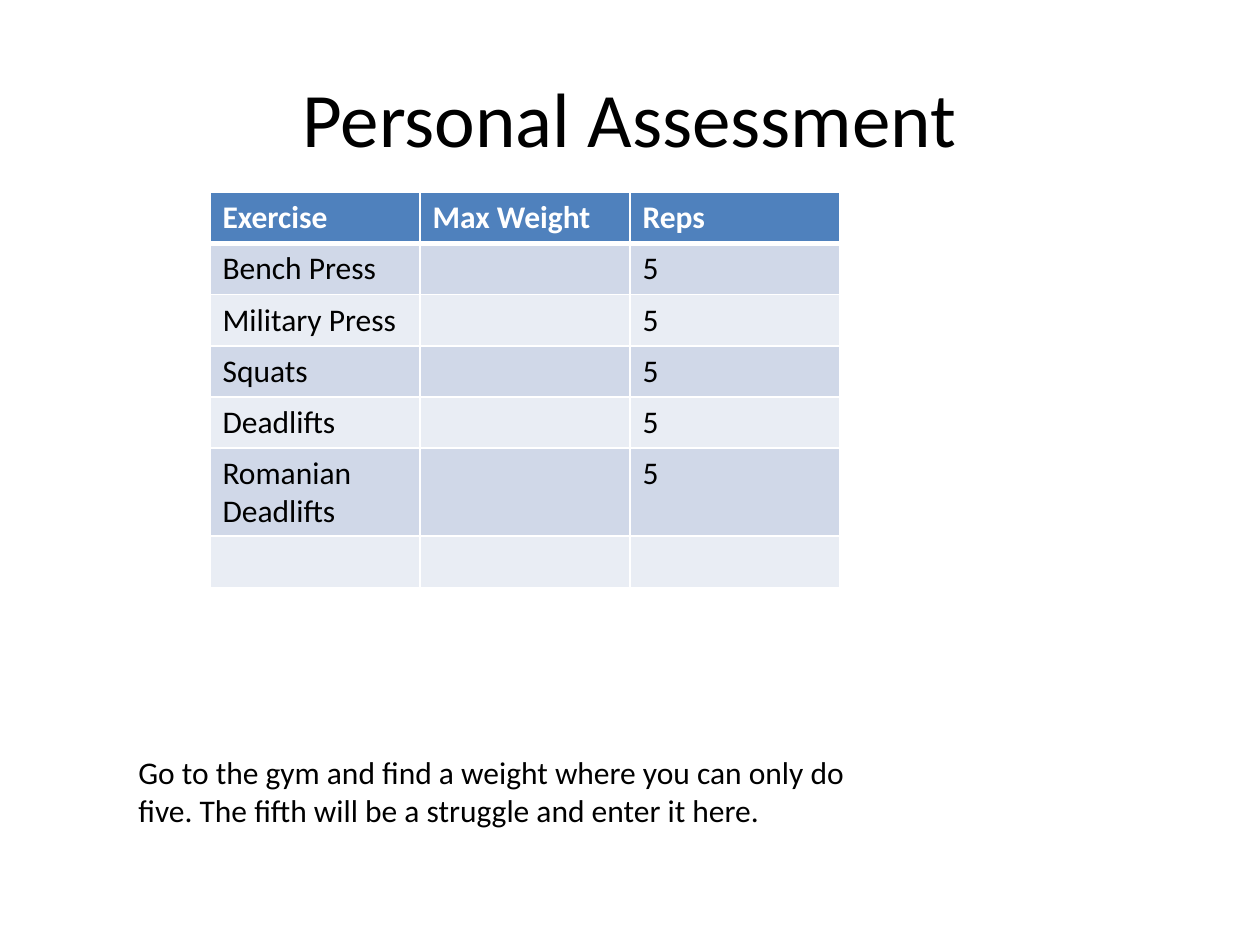
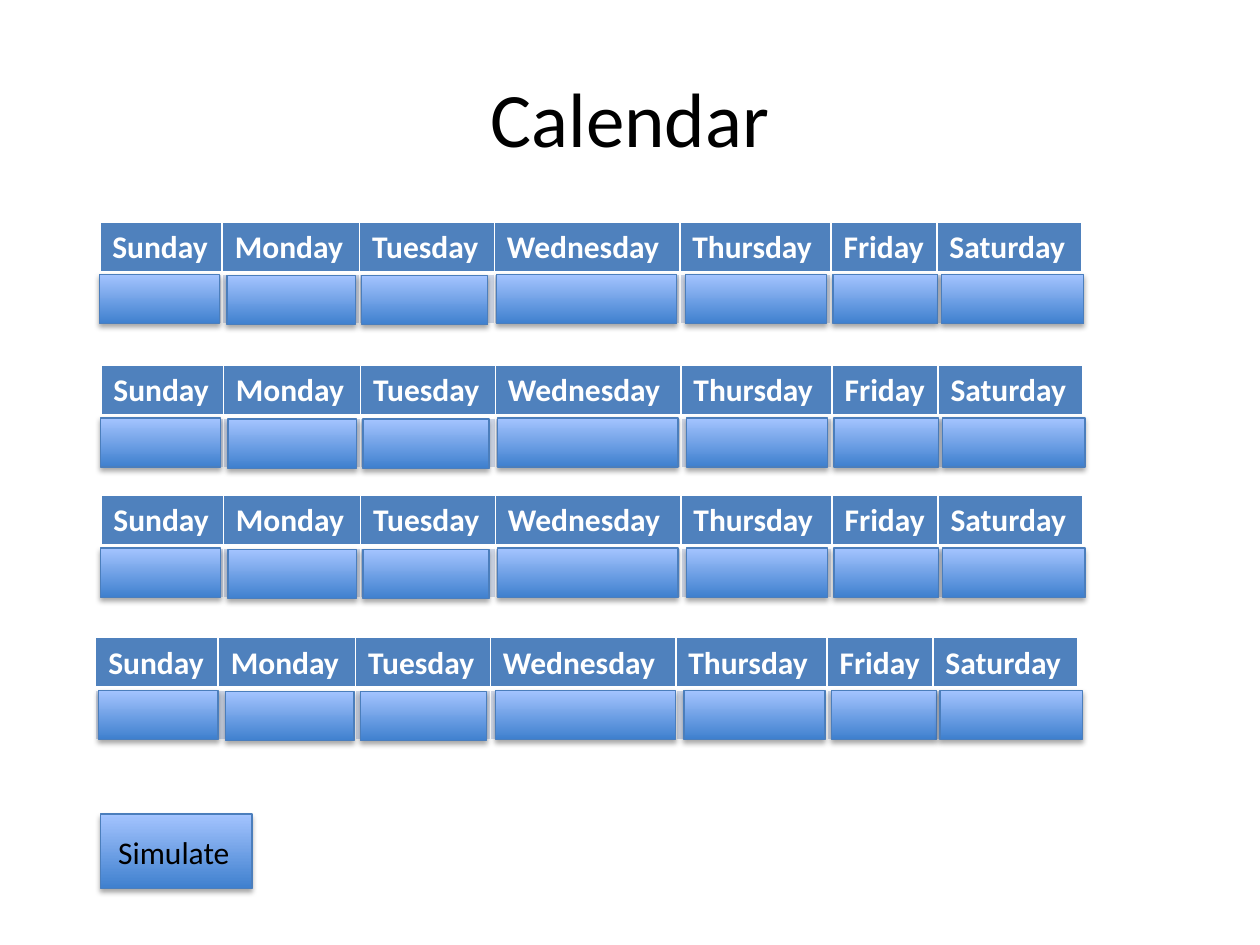
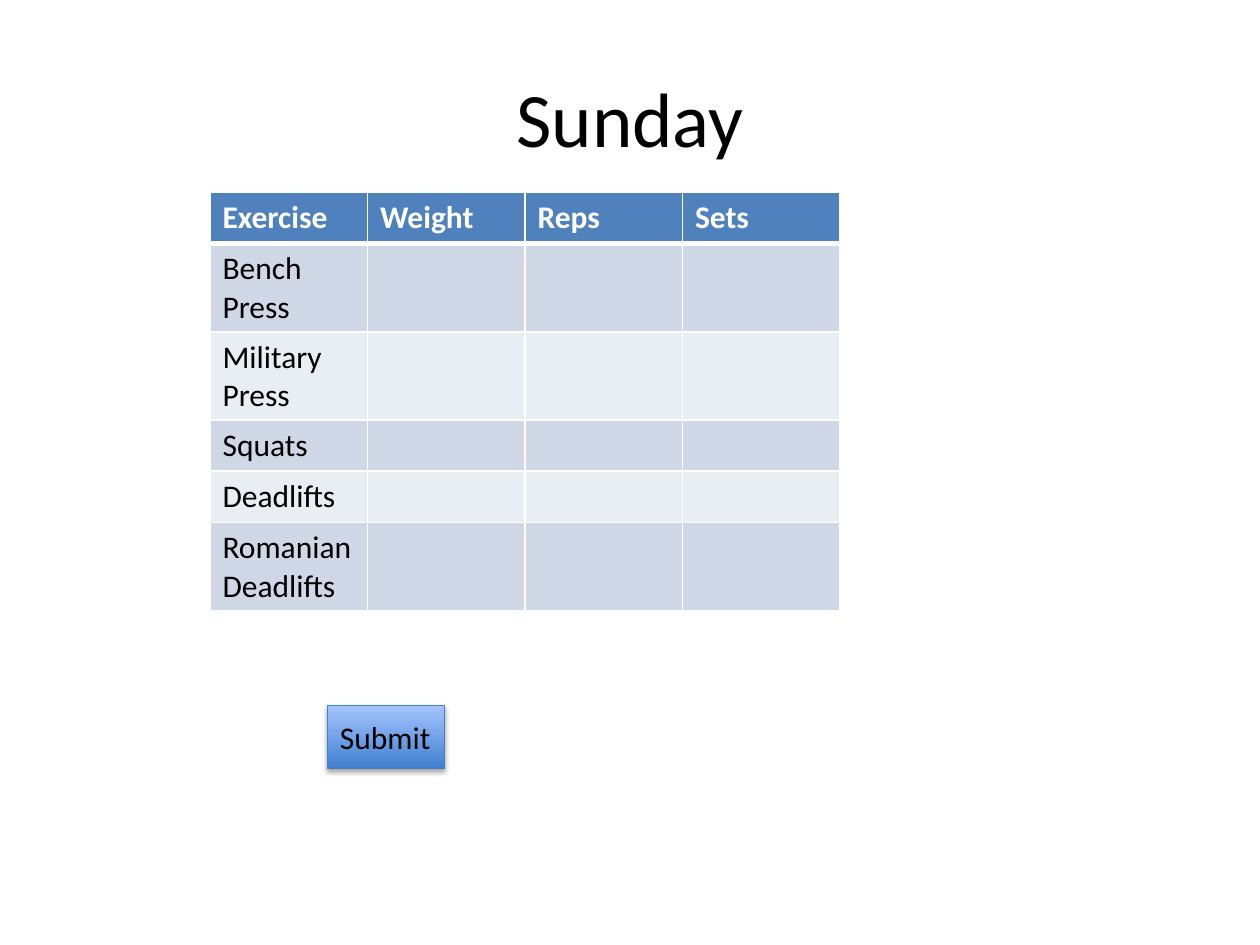
import pptx
import pptx.dml.color
import pptx.enum.shapes
import pptx.enum.text
import pptx.oxml
import pptx.oxml.ns
import pptx.util
from lxml import etree

Pt = pptx.util.Pt
ALIGN = pptx.enum.text.PP_ALIGN
ANCHOR = pptx.enum.text.MSO_ANCHOR

COLORS = {
    "text": "000000",
    "white": "FFFFFF",
    "header": "4F81BD",
    "band_dark": "D0D8E8",
    "band_light": "E9EDF4",
    "button_bottom": "3F80CE",
    "button_top": "A4C4FF",
    "button_line": "4B7EBC",
}
TITLE = {"name": "Calibri", "size": Pt(44), "bold": False}
BODY = {"name": "Calibri", "size": Pt(18), "bold": False}
HEADER = {"name": "Calibri", "size": Pt(18), "bold": True}

ROW_HEIGHT = 29.2
EXERCISES = ["Bench Press", "Military Press", "Squats", "Deadlifts", "Romanian Deadlifts"]
DAYS = ["Sunday", "Monday", "Tuesday", "Wednesday", "Thursday", "Friday", "Saturday"]
DAY_WIDTHS = [70, 78.5, 77, 106, 86.4, 60.5, 83]
DAY_BUTTONS = [
    (0, 0, 68.4), (72.7, 0.7, 73.4), (149.8, 0.7, 72), (226.8, 0, 103),
    (334.6, 0, 80.6), (419, 0, 59.8), (481, 0, 81.4),
]
WEEKS = [(57, 126.8, 57), (57.6, 208.8, 57.6), (57.6, 283.2, 57.6), (54.7, 364.4, 56.2)]


def rgb(name):
    """Return the named colour."""
    return pptx.dml.color.RGBColor.from_string(COLORS[name])


def add_run(p, text, fmt, color="text"):
    """Add a run with the given font format."""
    r = p.add_run()
    r.text = text
    for key, value in fmt.items():
        setattr(r.font, key, value)
    r.font.color.rgb = rgb(color)


def add_text(slide, box, text, fmt=BODY, align=ALIGN.LEFT, anchor=ANCHOR.TOP):
    """Add a wrapping text box."""
    tf = slide.shapes.add_textbox(*map(Pt, box)).text_frame
    for key, value in {"word_wrap": True, "vertical_anchor": anchor}.items():
        setattr(tf, key, value)
    p = tf.paragraphs[0]
    p.alignment = align
    add_run(p, text, fmt)


def add_slide(prs, title):
    """Add a blank slide with a centred title."""
    slide = prs.slides.add_slide(prs.slide_layouts[6])
    add_text(slide, (36, 21.6, 648, 90), title, TITLE, ALIGN.CENTER, ANCHOR.MIDDLE)
    return slide


def add_button(slide, box):
    """Add a gradient rectangle with a soft shadow."""
    s = slide.shapes.add_shape(pptx.enum.shapes.MSO_SHAPE.RECTANGLE, *map(Pt, box))
    s.fill.gradient()
    s.fill.gradient_angle = 90
    for stop, name in zip(s.fill.gradient_stops, ("button_bottom", "button_top")):
        stop.color.rgb = rgb(name)
    s.line.color.rgb = rgb("button_line")
    s.line.width = Pt(0.75)
    s.shadow.inherit = False
    effects = s.element.spPr.find(pptx.oxml.ns.qn("a:effectLst"))
    effects.append(pptx.oxml.parse_xml(
        f'<a:outerShdw {pptx.oxml.ns.nsdecls("a")} blurRad="{Pt(3.1)}" dist="{Pt(1.8)}" '
        f'dir="5400000" rotWithShape="0"><a:srgbClr val="{COLORS["text"]}">'
        '<a:alpha val="35000"/></a:srgbClr></a:outerShdw>'))


def add_borders(cell, widths):
    """Draw white cell borders from a dict of side and width."""
    qn = pptx.oxml.ns.qn
    tcPr = cell._tc.get_or_add_tcPr()
    for side, width in widths.items():
        ln = etree.SubElement(tcPr, qn(f"a:ln{side}"), w=str(Pt(width)))
        fill = etree.SubElement(ln, qn("a:solidFill"))
        etree.SubElement(fill, qn("a:srgbClr"), val=COLORS["white"])


def add_table(slide, left, top, widths, rows):
    """Add a banded table whose first row is the header."""
    box = map(Pt, (left, top, sum(widths), ROW_HEIGHT * len(rows)))
    table = slide.shapes.add_table(len(rows), len(widths), *box).table
    table.horz_banding = False
    for column, width in zip(table.columns, widths):
        column.width = Pt(width)
    for i, row in enumerate(rows):
        table.rows[i].height = Pt(ROW_HEIGHT)
        band = "header" if i == 0 else "band_dark" if i % 2 else "band_light"
        fmt, color = (BODY, "text") if i else (HEADER, "white")
        borders = {"L": 1, "R": 1, "T": 3 if i == 1 else 1, "B": 1 if i else 3}
        for j, text in enumerate(row):
            cell = table.cell(i, j)
            add_borders(cell, borders)
            cell.fill.solid()
            cell.fill.fore_color.rgb = rgb(band)
            if text:
                add_run(cell.text_frame.paragraphs[0], text, fmt, color)


def add_week(slide, left, top, button_left):
    """Add one calendar week with a button under each day."""
    add_table(slide, left, top, DAY_WIDTHS, [DAYS, [""] * len(DAYS)])
    for dx, dy, width in DAY_BUTTONS:
        add_button(slide, (button_left + dx, top + 30 + dy, width, 28.1))


def main():
    """Build the three slides and save them."""
    prs = pptx.Presentation()
    prs.slide_width, prs.slide_height = Pt(720), Pt(540)

    slide = add_slide(prs, "Personal Assessment")
    rows = [["Exercise", "Max Weight", "Reps"]]
    rows += [[name, "", "5"] for name in EXERCISES] + [[""] * 3]
    add_table(slide, 120, 110, [120] * 3, rows)
    add_text(slide, (72, 427, 437, 72.7),
             "Go to the gym and find a weight where you can only do five. "
             "The fifth will be a struggle and enter it here.")

    slide = add_slide(prs, "Calendar")
    for week in WEEKS:
        add_week(slide, *week)
    add_button(slide, (57.6, 465.2, 86.4, 42.5))
    add_text(slide, (60.5, 472.3, 88.6, 29), "Simulate")

    slide = add_slide(prs, "Sunday")
    rows = [["Exercise", "Weight", "Reps", "Sets"]]
    rows += [[name, "", "", ""] for name in EXERCISES]
    add_table(slide, 120, 110, [90] * 4, rows)
    add_button(slide, (187.2, 403.2, 67, 36))
    add_text(slide, (187.2, 406.5, 67, 29), "Submit")

    prs.save("out.pptx")


if __name__ == "__main__":
    main()
